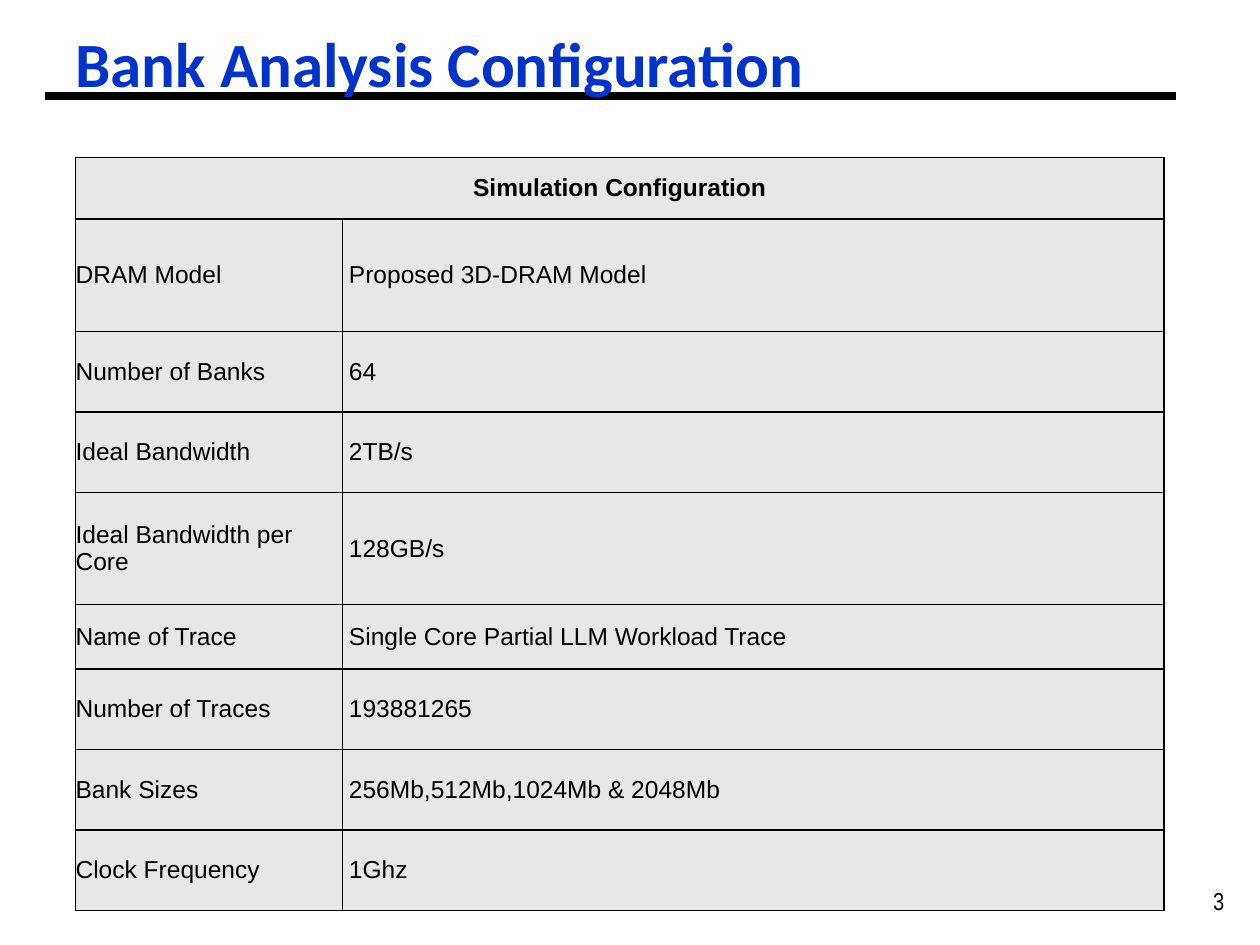
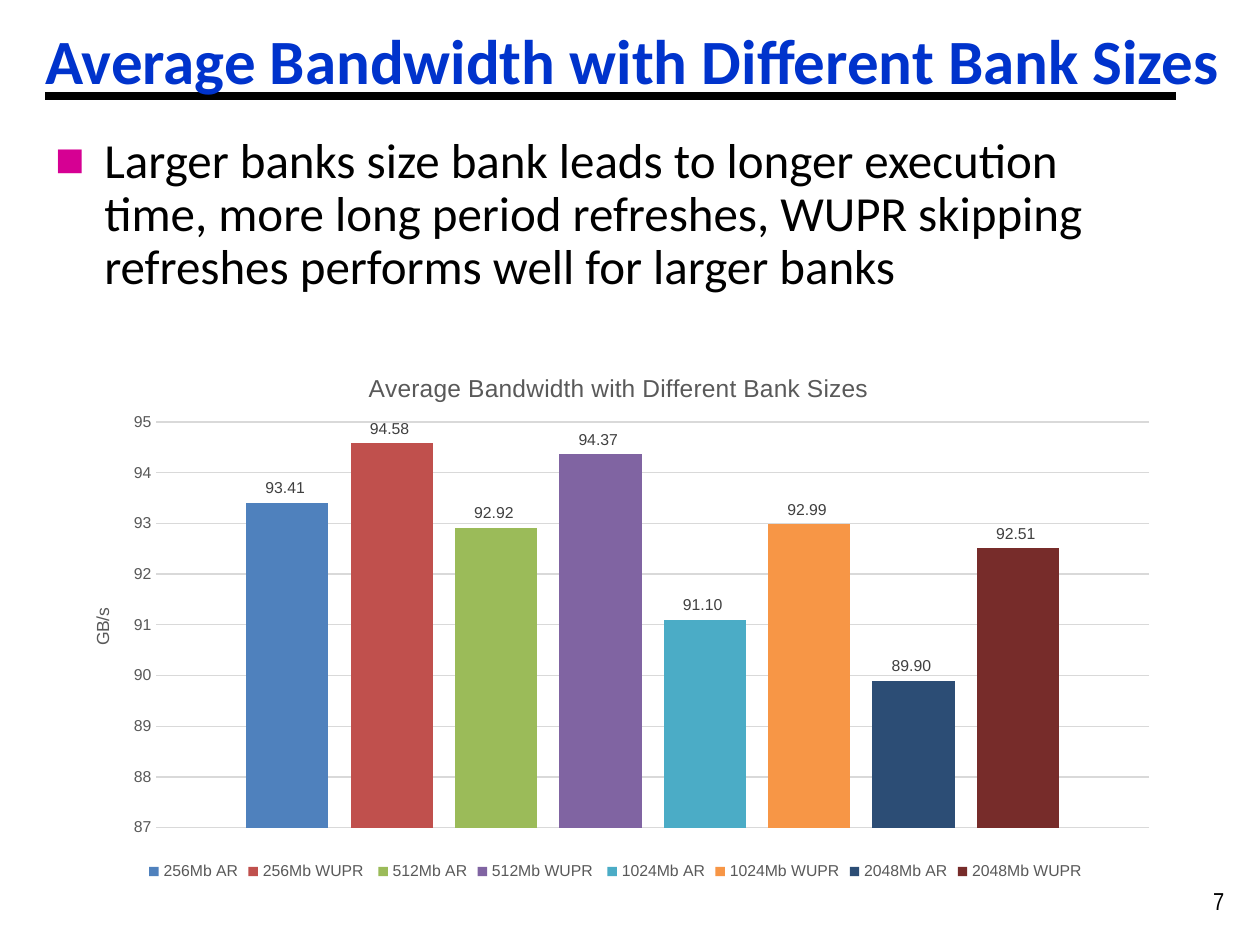
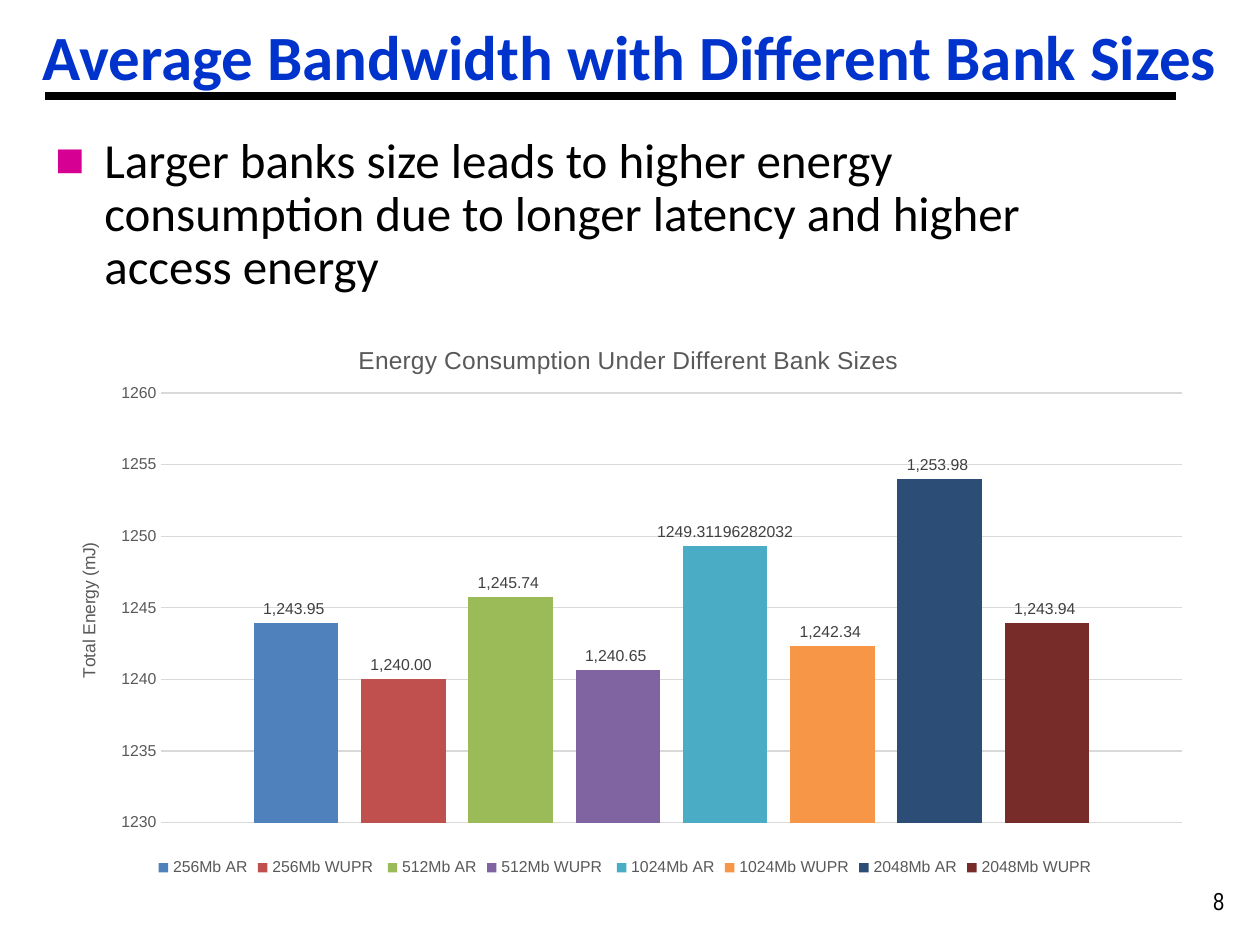
from dataclasses import dataclass

from lxml import etree
from pptx import Presentation
from pptx.chart.data import CategoryChartData
from pptx.dml.color import RGBColor
from pptx.enum.chart import XL_CHART_TYPE, XL_LABEL_POSITION, XL_LEGEND_POSITION, XL_TICK_MARK
from pptx.enum.shapes import MSO_CONNECTOR
from pptx.enum.text import MSO_ANCHOR, PP_ALIGN
from pptx.oxml.ns import qn
from pptx.util import Inches, Pt

COLUMNS = XL_CHART_TYPE.COLUMN_CLUSTERED
OUTSIDE_END = XL_LABEL_POSITION.OUTSIDE_END
LEGEND_BOTTOM = XL_LEGEND_POSITION.BOTTOM
NO_TICKS = XL_TICK_MARK.NONE
STRAIGHT = MSO_CONNECTOR.STRAIGHT
TOP, MIDDLE, BOTTOM = MSO_ANCHOR.TOP, MSO_ANCHOR.MIDDLE, MSO_ANCHOR.BOTTOM
LEFT, CENTER = PP_ALIGN.LEFT, PP_ALIGN.CENTER


@dataclass(frozen=True)
class Theme:
    ink: str = "000000"
    title: str = "0033CC"
    bullet: str = "D60093"
    cell: str = "E7E7E7"
    chart_text: str = "595959"
    label: str = "404040"
    grid: str = "D9D9D9"
    series: tuple = ("4F81BD", "C0504D", "9BBB59", "8064A2",
                     "4BACC6", "F79646", "2C4D75", "772C2A")
    heading_font: str = "Calibri"
    body_font: str = "Arial"
    number_font: str = "Arial Narrow"
    title_size: int = 36
    bullet_size: int = 28
    text_size: int = 14
    axis_title_size: int = 10
    chart_size: int = 9


THEME = Theme()

CONFIGURATION = [
    # row height, setting, value
    (0.89, "DRAM Model", "Proposed 3D-DRAM Model"),
    (0.64, "Number of Banks", "64"),
    (0.64, "Ideal Bandwidth", "2TB/s"),
    (0.89, "Ideal Bandwidth per Core", "128GB/s"),
    (0.51, "Name of Trace", "Single Core Partial LLM Workload Trace"),
    (0.64, "Number of Traces", "193881265"),
    (0.64, "Bank Sizes", "256Mb,512Mb,1024Mb & 2048Mb"),
    (0.64, "Clock Frequency", "1Ghz"),
]
SCHEMES = ["256Mb AR", "256Mb WUPR ", "512Mb AR", "512Mb WUPR ",
           "1024Mb AR", "1024Mb WUPR", "2048Mb AR", "2048Mb WUPR"]
BANDWIDTH = [93.41, 94.58, 92.92, 94.37, 91.10, 92.99, 89.90, 92.51]
ENERGY = [1243.95, 1240.00, 1245.74, 1240.65,
          1249.31196282032, 1242.34, 1253.98, 1243.94]
TWO_DECIMALS = r"#,##0.00_);[Red]\(#,##0.00\)"


# Formatting helpers
def rgb(value):
    return RGBColor.from_string(value)


def set_font(font, size, color, name=THEME.body_font, bold=False):
    font.size, font.name, font.bold = Pt(size), name, bold
    font.color.rgb = rgb(color)


def write(frame, text, size=THEME.text_size, color=THEME.ink,
          name=THEME.body_font, bold=False, align=LEFT):
    paragraph = frame.paragraphs[0]
    paragraph.alignment = align
    run = paragraph.add_run()
    run.text = text
    set_font(run.font, size, color, name, bold)
    return paragraph


def add_text(slide, box, text, anchor=TOP, left_inset=0.1, **style):
    frame = slide.shapes.add_textbox(*map(Inches, box)).text_frame
    frame.word_wrap = True
    frame.vertical_anchor = anchor
    frame.margin_left = Inches(left_inset)
    return write(frame, text, **style)


def add_child(parent, tag, **attributes):
    return etree.SubElement(parent, qn(tag), attributes)


def add_borders(cell):
    properties = cell._tc.get_or_add_tcPr()
    for index, side in enumerate(("a:lnL", "a:lnR", "a:lnT", "a:lnB")):
        border = etree.Element(qn(side), w=str(Pt(1)))
        add_child(add_child(border, "a:solidFill"), "a:srgbClr", val=THEME.ink)
        properties.insert(index, border)


def place_in_chart(part, index, chart_box, at, inner=False):
    """Fix a chart part at (left, top[, width, height]) inches inside the chart."""
    layout = part.find(qn("c:layout"))
    if layout is None:
        layout = etree.Element(qn("c:layout"))
        part.insert(index, layout)
    manual = add_child(layout, "c:manualLayout")
    if inner:
        add_child(manual, "c:layoutTarget", val="inner")
    for mode in ("c:xMode", "c:yMode"):
        add_child(manual, mode, val="edge")
    extents = chart_box[2:] * 2
    for tag, inches, extent in zip(("c:x", "c:y", "c:w", "c:h"), at, extents):
        add_child(manual, tag, val=f"{inches / extent:.4f}")


# Parts of a slide
def start_slide(deck, title, title_box, number):
    slide = deck.slides.add_slide(deck.slide_layouts[6])
    # Page number
    add_text(slide, (9.53, 6.98, 0.47, 0.33), number, name=THEME.number_font)
    # Rule under the title
    rule = slide.shapes.add_connector(
        STRAIGHT, *map(Inches, (0.36, 0.76, 9.33, 0.76)))
    rule.line.color.rgb = rgb(THEME.ink)
    rule.line.width = Pt(4.5)
    add_child(rule._element.spPr, "a:effectLst")
    # Title
    add_text(slide, title_box, title, anchor=BOTTOM, left_inset=0,
             size=THEME.title_size, color=THEME.title,
             name=THEME.heading_font, bold=True)
    return slide


def add_bullet(slide, box, text):
    paragraph = add_text(slide, box, text, size=THEME.bullet_size,
                         name=THEME.heading_font)
    paragraph.line_spacing = 0.9
    properties = paragraph._p.get_or_add_pPr()
    indent = Inches(0.39)
    properties.set("marL", str(indent))
    properties.set("indent", str(-indent))
    add_child(add_child(properties, "a:buClr"), "a:srgbClr", val=THEME.bullet)
    add_child(properties, "a:buFont", typeface=THEME.body_font)
    add_child(properties, "a:buChar", char="■")


def fill_cell(cell, text, left_inset=0, **style):
    cell.margin_left = Inches(left_inset)
    cell.margin_right = cell.margin_top = cell.margin_bottom = 0
    cell.vertical_anchor = MIDDLE
    write(cell.text_frame, text, **style)


def add_configuration_table(slide, box):
    table = slide.shapes.add_table(
        len(CONFIGURATION) + 1, 2, *map(Inches, box)).table
    table.first_row = table.horz_banding = False
    setting_width = 2.12
    table.columns[0].width = Inches(setting_width)
    table.columns[1].width = Inches(box[2] - setting_width)

    # Heading across both columns
    table.rows[0].height = Inches(0.49)
    table.cell(0, 0).merge(table.cell(0, 1))
    fill_cell(table.cell(0, 0), "Simulation Configuration", bold=True, align=CENTER)

    # Settings
    for row, (height, setting, value) in enumerate(CONFIGURATION, start=1):
        table.rows[row].height = Inches(height)
        fill_cell(table.cell(row, 0), setting)
        fill_cell(table.cell(row, 1), value, left_inset=0.05)

    for cell in table.iter_cells():
        cell.fill.solid()
        cell.fill.fore_color.rgb = rgb(THEME.cell)
        add_borders(cell)


def add_scheme_chart(slide, box, title, title_at, unit, unit_at, plot_at,
                     values, scale, unformatted=()):
    data = CategoryChartData()
    data.categories = ["1"]
    for scheme, value in zip(SCHEMES, values):
        data.add_series(scheme, [value])
    chart = slide.shapes.add_chart(COLUMNS, *map(Inches, box), data).chart
    set_font(chart.font, THEME.axis_title_size, THEME.ink)

    # Title and plot area
    chart.has_title = True
    write(chart.chart_title.text_frame, title, color=THEME.chart_text, align=CENTER)
    place_in_chart(chart.chart_title._element, 1, box, title_at)
    place_in_chart(chart._chartSpace.chart.plotArea, 0, box, plot_at, inner=True)

    # Legend
    chart.has_legend = True
    chart.legend.position = LEGEND_BOTTOM
    chart.legend.include_in_layout = False
    set_font(chart.legend.font, THEME.chart_size, THEME.chart_text)

    # Axes
    chart.category_axis.visible = False
    axis = chart.value_axis
    axis.minimum_scale, axis.maximum_scale, axis.major_unit = scale
    axis.major_tick_mark = axis.minor_tick_mark = NO_TICKS
    axis.tick_labels.number_format = "General"
    axis.tick_labels.number_format_is_linked = False
    set_font(axis.tick_labels.font, THEME.chart_size, THEME.chart_text)
    axis.format.line.fill.background()
    axis.major_gridlines.format.line.color.rgb = rgb(THEME.grid)
    axis.major_gridlines.format.line.width = Pt(0.75)
    write(axis.axis_title.text_frame, unit, size=THEME.axis_title_size,
          color=THEME.chart_text, align=CENTER)
    axis.axis_title.text_frame._txBody.bodyPr.set("rot", "-5400000")
    place_in_chart(axis.axis_title._element, 1, box, unit_at)

    # Columns and their values
    plot = chart.plots[0]
    plot.gap_width, plot.overlap = 219, -27
    plot.vary_by_categories = False
    for series, color in zip(plot.series, THEME.series):
        series.format.fill.solid()
        series.format.fill.fore_color.rgb = rgb(color)
        labels = series.data_labels
        labels.show_value = True
        labels.position = OUTSIDE_END
        labels.number_format = "General" if series.name in unformatted else TWO_DECIMALS
        labels.number_format_is_linked = False
        set_font(labels.font, THEME.chart_size, THEME.label)


# Slides
def configuration_slide(deck):
    slide = start_slide(deck, "Bank Analysis Configuration",
                        (0.6, 0.13, 8.42, 0.71), "3")
    add_configuration_table(slide, (0.6, 1.25, 8.64, 5.98))


def bandwidth_slide(deck):
    heading = "Average Bandwidth with Different Bank Sizes"
    slide = start_slide(deck, heading, (0.36, 0.11, 9.64, 0.71), "7")
    add_bullet(slide, (0.34, 1.03, 8.94, 1.39),
               "Larger banks size bank leads to longer execution time, more long "
               "period refreshes, WUPR skipping refreshes performs well for larger banks")
    add_scheme_chart(slide, (0.47, 2.72, 8.83, 4.31),
                     title=heading, title_at=(2.42, 0.2),
                     unit="GB/s", unit_at=(0.23, 2.08),
                     plot_at=(0.77, 0.63, 7.88, 3.22),
                     values=BANDWIDTH, scale=(87, 95, 1))


def energy_slide(deck):
    slide = start_slide(deck, "Average Bandwidth with Different Bank Sizes",
                        (0.34, 0.08, 9.64, 0.71), "8")
    add_bullet(slide, (0.34, 1.03, 8.94, 1.31),
               "Larger banks size leads to higher energy consumption due to "
               "longer latency and higher access energy")
    add_scheme_chart(slide, (0.36, 2.5, 9.2, 4.5),
                     title="Energy Consumption Under Different Bank Sizes",
                     title_at=(2.45, 0.2),
                     unit="Total Energy (mJ)", unit_at=(0.23, 1.78),
                     plot_at=(0.92, 0.62, 8.1, 3.41),
                     values=ENERGY, scale=(1230, 1260, 5),
                     unformatted=("1024Mb AR",))


def main():
    deck = Presentation()
    deck.slide_width, deck.slide_height = Inches(10), Inches(7.5)
    configuration_slide(deck)
    bandwidth_slide(deck)
    energy_slide(deck)
    deck.save("out.pptx")


if __name__ == "__main__":
    main()
